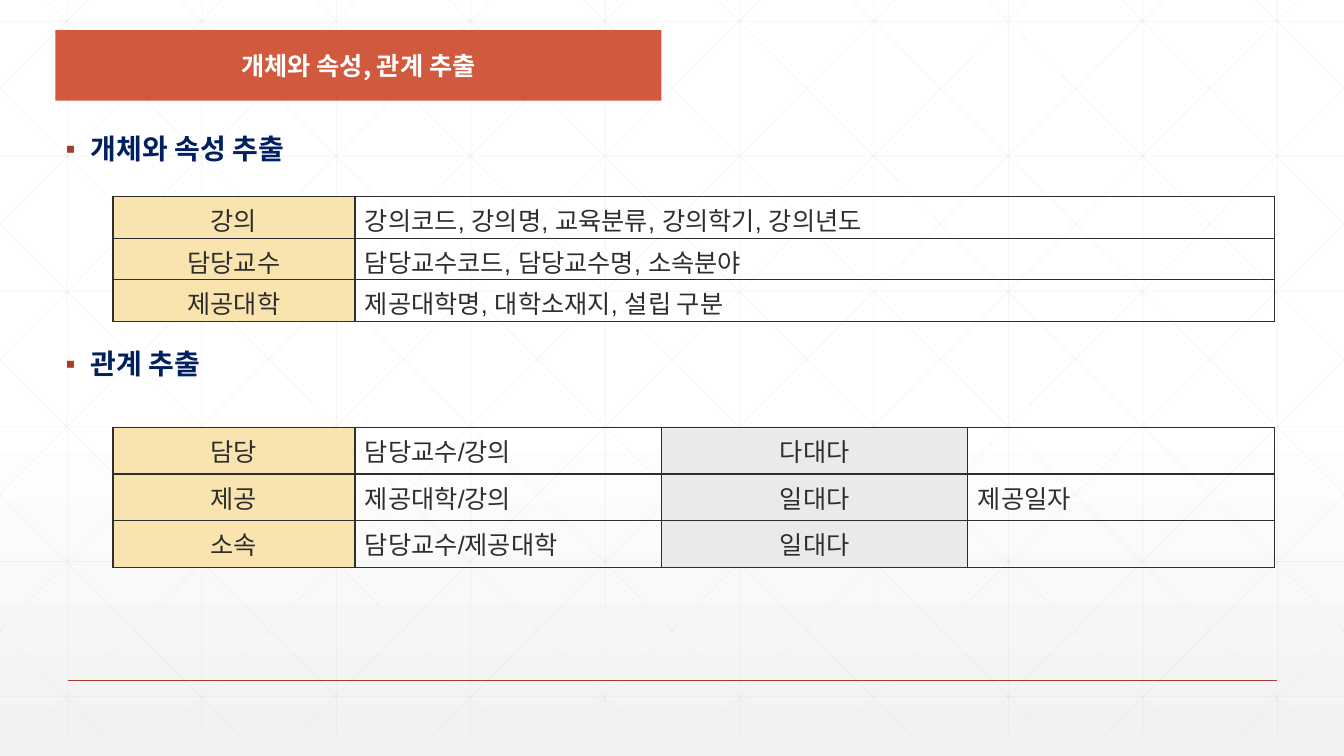
"""Build the slide on entity, attribute and relationship extraction."""
import pptx
import pptx.dml.color
import pptx.enum.shapes
import pptx.enum.text
import pptx.oxml
import pptx.oxml.ns
import pptx.util
from pptx.util import Inches

WIDTH, TOP, BOTTOM = 13.33, -0.21, 7.29
STEP = 4 / 3
INK, RED = "2D2E2D", "A43F27"
CREAM, GREY = "F9E3AE", "EAEAEA"
HANGUL = "Noto Sans CJK KR"
NAMESPACE = pptx.oxml.ns.nsdecls("a")
CENTER = pptx.enum.text.PP_ALIGN.CENTER
LEFT = pptx.enum.text.PP_ALIGN.LEFT


def paint(fill, colour):
    fill.solid()
    fill.fore_color.rgb = pptx.dml.color.RGBColor.from_string(colour)


def write(para, text, align, colour, formats):
    para.alignment = align
    span = para.add_run()
    span.text = text
    for name, value in formats.items():
        setattr(span.font, name, value)
    paint(span.font.fill, colour)
    span.font._element.append(pptx.oxml.parse_xml(
        f'<a:ea {NAMESPACE} typeface="{HANGUL}"/>'))


deck = pptx.Presentation()
deck.slide_width, deck.slide_height = Inches(WIDTH), Inches(7.5)
page = deck.slides.add_slide(deck.slide_layouts[1])
title, body = page.placeholders

backdrop = page.background.fill
backdrop.gradient()
backdrop.gradient_angle = 270
for stop, position, colour in zip(backdrop.gradient_stops, (0.53, 1), ("FFFFFF", "F2F2F2")):
    stop.position = position
    stop.color.rgb = pptx.dml.color.RGBColor.from_string(colour)

grid = [(0.67 + STEP * i, TOP, 0.67 + STEP * i, BOTTOM) for i in range(10)]
grid += [(0, 0.21 + 1.34 * i, WIDTH, 0.21 + 1.34 * i) for i in range(6)]
run = 7.45
slope = (BOTTOM - TOP) / run
for i in range(-5, 10):
    start = 0.25 + STEP * i
    left, right = max(start, 0), min(start + run, WIDTH)
    upper, lower = TOP + (left - start) * slope, TOP + (right - start) * slope
    grid.append((left, upper, right, lower))
    grid.append((WIDTH - left, upper, WIDTH - right, lower))

rules = [(ends, "D9D9D9", 0.5, 25) for ends in grid]
rules.append(((0.67, 6.75, 12.67, 6.75), RED, 1, 100))
for ends, colour, weight, opacity in rules:
    rule = page.shapes.add_connector(
        pptx.enum.shapes.MSO_CONNECTOR.STRAIGHT, *map(Inches, ends))
    rule.line.width = pptx.util.Pt(weight)
    paint(rule.line.fill, colour)
    properties = rule._element.spPr
    if opacity < 100:
        tint = properties.find(".//" + pptx.oxml.ns.qn("a:srgbClr"))
        tint.append(pptx.oxml.parse_xml(f'<a:alpha {NAMESPACE} val="{opacity * 1000}"/>'))
    properties.append(pptx.oxml.parse_xml(f"<a:effectLst {NAMESPACE}/>"))

banner = page.shapes.add_shape(
    pptx.enum.shapes.MSO_SHAPE.RECTANGLE,
    Inches(0.55), Inches(0.3), Inches(6.01), Inches(0.7))
banner.shadow.inherit = False
paint(banner.fill, "D15A3E")
banner.line.fill.background()

for box, place, anchor in (
    (title, (0.55, 0.45, 6.01, 0.4), pptx.enum.text.MSO_ANCHOR.MIDDLE),
    (body, (0.55, 1.29, 12.09, 4.17), pptx.enum.text.MSO_ANCHOR.TOP),
):
    box.left, box.top, box.width, box.height = map(Inches, place)
    box.text_frame.auto_size = pptx.enum.text.MSO_AUTO_SIZE.NONE
    box.text_frame.vertical_anchor = anchor
    page.shapes._spTree.append(box._element)

heading = {"name": HANGUL, "size": pptx.util.Pt(18), "bold": True}
write(title.text_frame.paragraphs[0], "개체와 속성, 관계 추출", CENTER, "FFFFFF", heading)

heading["size"] = pptx.util.Pt(20)
body.text_frame.text = "\n"
sections = (("개체와 속성 추출", 0), ("관계 추출", 132))
for para, (text, gap) in zip(body.text_frame.paragraphs, sections):
    para.line_spacing = 0.9
    para.space_before = pptx.util.Pt(gap)
    layout = para._element.get_or_add_pPr()
    layout.set("marL", str(Inches(0.25)))
    layout.set("indent", str(-Inches(0.25)))
    for bullet in (f'<a:buClr {NAMESPACE}><a:srgbClr val="{RED}"/></a:buClr>',
                   f'<a:buChar {NAMESPACE} char="▪"/>'):
        layout.append(pptx.oxml.parse_xml(bullet))
    write(para, text, LEFT, "002060", heading)

entities = (
    ("강의", "강의코드, 강의명, 교육분류, 강의학기, 강의년도"),
    ("담당교수", "담당교수코드, 담당교수명, 소속분야"),
    ("제공대학", "제공대학명, 대학소재지, 설립 구분"),
)
relationships = (
    ("담당", "담당교수/강의", "다대다", ""),
    ("제공", "제공대학/강의", "일대다", "제공일자"),
    ("소속", "담당교수/제공대학", "일대다", ""),
)
cell_format = {"name": "Arial", "size": pptx.util.Pt(18), "bold": False}
column_fills = {0: CREAM, 2: GREY}
for rows, top, widths, height, bottom_margin in (
    (entities, 1.95, (2.4, 9.12), 0.41, 0),
    (relationships, 4.24, (2.4, 3.04, 3.04, 3.04), 0.46, 0.05),
):
    table = page.shapes.add_table(
        len(rows), len(widths), Inches(1.12), Inches(top),
        Inches(sum(widths)), Inches(height * len(rows))).table
    table.first_row = table.horz_banding = False
    for column, width in zip(table.columns, widths):
        column.width = Inches(width)
    for i, texts in enumerate(rows):
        table.rows[i].height = Inches(height)
        for j, text in enumerate(texts):
            cell = table.cell(i, j)
            cell.margin_bottom = Inches(bottom_margin)
            borders = cell._tc.get_or_add_tcPr()
            for side in ("lnL", "lnR", "lnT", "lnB"):
                borders.append(pptx.oxml.parse_xml(
                    f'<a:{side} {NAMESPACE} w="12700"><a:solidFill>'
                    f'<a:srgbClr val="{INK}"/></a:solidFill></a:{side}>'))
            if j in column_fills:
                paint(cell.fill, column_fills[j])
            else:
                cell.fill.background()
            if text:
                write(cell.text_frame.paragraphs[0], text,
                      CENTER if j in column_fills else LEFT, INK, cell_format)

deck.save("out.pptx")
